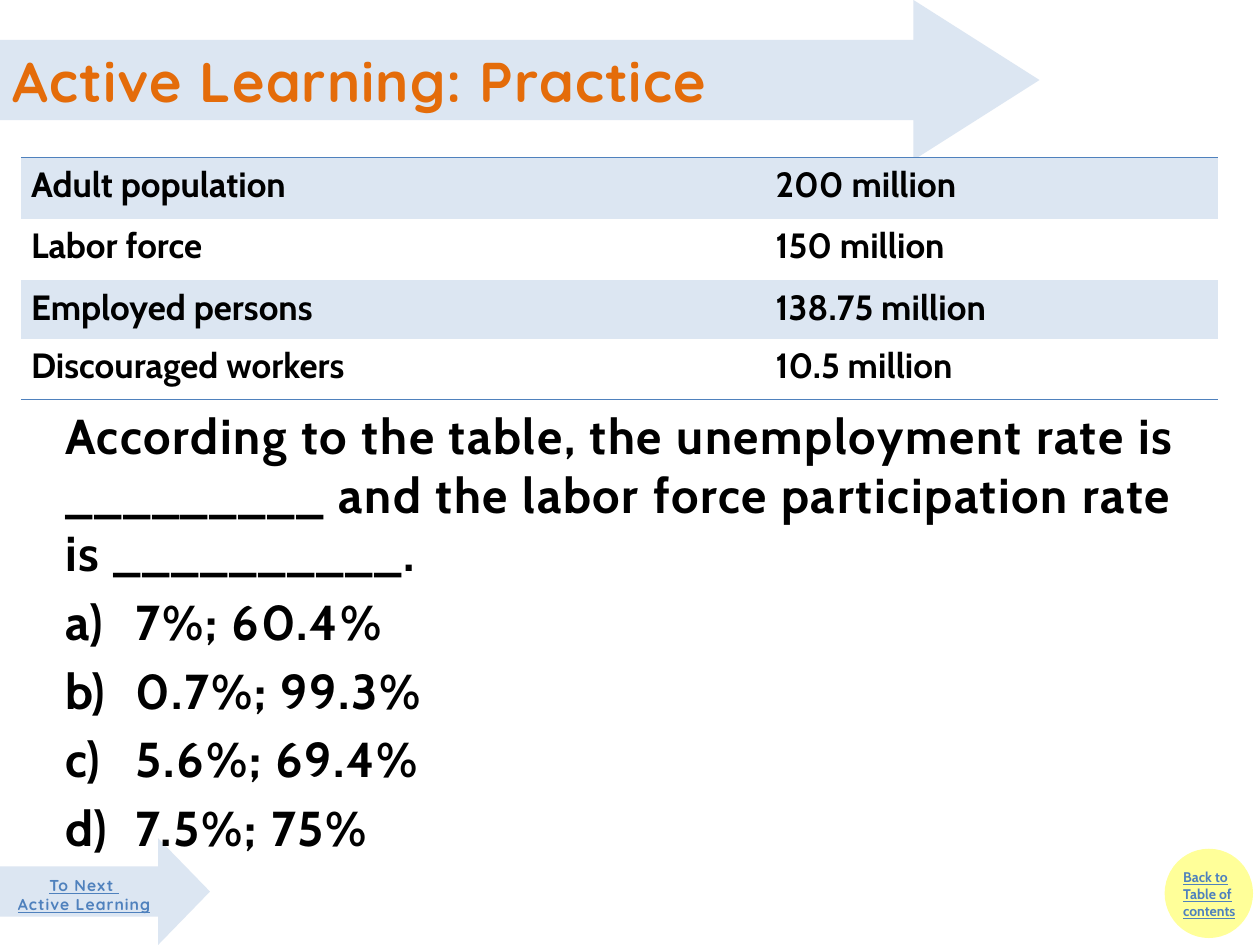
from lxml.etree import SubElement as Sub
from pptx import Presentation
from pptx.dml.color import RGBColor as Rgb
from pptx.enum.shapes import MSO_SHAPE as Kind
from pptx.enum.text import MSO_ANCHOR as Anchor, MSO_AUTO_SIZE as Fit, PP_ALIGN as Align
from pptx.oxml.ns import qn
from pptx.util import Pt

# Content
HEAD = "Active Learning: Practice"
ROWS = [
    ("Adult population", "200 million"),
    ("Labor force", "150 million"),
    ("Employed persons", "138.75 million"),
    ("Discouraged workers", "10.5 million"),
]
ASK = ("According to the table, the unemployment rate is _________ "
       "and the labor force participation rate is __________.")
PICKS = ["7%; 60.4%", "0.7%; 99.3%", "5.6%; 69.4%", "7.5%; 75%"]
BACK = ["Back to Table of contents"]
NEXT = ["To Next ", "Active Learning"]

# Look
HUES = {"pale": "DCE6F2", "head": "E46C0A", "link": "4F81BD",
        "sun": "FFFF99", "ink": "000000"}
HEAD_F = {"name": "Quicksand", "size": Pt(32), "bold": True}
CELL_F = {"name": "Cabin", "size": Pt(20), "bold": True}
BODY_F = {"name": "Cabin", "size": Pt(28), "bold": True}
BACK_F = {"name": "Cabin", "size": Pt(8), "bold": True, "underline": True}
NEXT_F = {"name": "Quicksand", "size": Pt(9), "bold": True, "underline": True}
COLS = (425.5, 258.5)
HIGHS = (35, 35, 33.5, 35)
NO_STYLE = "{2D5ABB26-0587-4C30-8999-92F81FD0307C}"


def hue(key):
    return Rgb.from_string(HUES[key])


def pts(*nums):
    return [Pt(n) for n in nums]


def write(para, text, look, key, gap=0):
    """Put one formatted run in a paragraph; gap is letter spacing in points."""
    run = para.add_run()
    run.text = text
    for name, val in look.items():
        setattr(run.font, name, val)
    run.font.color.rgb = hue(key)
    if gap:
        run._r.get_or_add_rPr().set("spc", str(int(gap * 100)))


def paint(kind, box, key, adj=()):
    shape = slide.shapes.add_shape(kind, *pts(*box))
    shape.shadow.inherit = False
    shape.fill.solid()
    shape.fill.fore_color.rgb = hue(key)
    shape.line.fill.background()
    for i, val in enumerate(adj):
        shape.adjustments[i] = val
    return shape


def label(box, lines, look, align, wrap, gap=0):
    frame = slide.shapes.add_textbox(*pts(*box)).text_frame
    frame.word_wrap = wrap
    for i, line in enumerate(lines):
        para = frame.add_paragraph() if i else frame.paragraphs[0]
        para.alignment = align
        write(para, line, look, "link", gap)


def place(holder, box):
    holder.left, holder.top, holder.width, holder.height = pts(*box)
    frame = holder.text_frame
    frame.auto_size = Fit.NONE
    frame.word_wrap = True
    return frame


def rule(cell, side):
    """Draw a thin line on one side of a cell, ahead of its fill."""
    props = cell._tc.get_or_add_tcPr()
    line = Sub(props, qn("a:" + side), w=str(Pt(1)))
    Sub(Sub(line, qn("a:solidFill")), qn("a:srgbClr"), val=HUES["link"])
    props.insert(0, line)


deck = Presentation()
deck.slide_width, deck.slide_height = pts(720, 540)
slide = deck.slides.add_slide(deck.slide_layouts[1])
title, body = slide.placeholders
tree = slide.shapes._spTree

# Arrows and disc, with the heading over the first arrow
paint(Kind.RIGHT_ARROW, (0, 0, 594, 91.5), "pale", (0.5, 0.787))
disc = paint(Kind.OVAL, (666.5, 486, 48.5, 49), "sun")
disc.line.color.rgb = hue("sun")
disc.line.width = Pt(2)
label((669, 493, 52, 48), BACK, BACK_F, Align.LEFT, True)
paint(Kind.RIGHT_ARROW, (0, 479, 120, 61), "pale", (0.472, 0.486))
tree.append(title._element)
frame = place(title, (0, 0, 594, 91.5))
frame.vertical_anchor = Anchor.MIDDLE
frame.paragraphs[0].alignment = Align.LEFT
write(frame.paragraphs[0], HEAD, HEAD_F, "head", 0.6)

# Table
grid = slide.shapes.add_table(
    len(ROWS), len(COLS), *pts(12, 90, sum(COLS), sum(HIGHS))).table
grid.first_row = grid.horz_banding = False
grid._tbl.tblPr[0].text = NO_STYLE
for col, wide in zip(grid.columns, COLS):
    col.width = Pt(wide)
for r, (texts, high) in enumerate(zip(ROWS, HIGHS)):
    grid.rows[r].height = Pt(high)
    for c, text in enumerate(texts):
        cell = grid.cell(r, c)
        cell.margin_left = cell.margin_right = Pt(5.75)
        cell.margin_top = cell.margin_bottom = 0
        if r % 2:
            cell.fill.background()
        else:
            cell.fill.solid()
            cell.fill.fore_color.rgb = hue("pale")
        if r == 0:
            rule(cell, "lnT")
        if r == len(ROWS) - 1:
            rule(cell, "lnB")
        para = cell.text_frame.paragraphs[0]
        para.line_spacing = 1.15
        write(para, text, CELL_F, "ink")

# Question and lettered answers
tree.append(body._element)
frame = place(body, (30, 228, 672, 252))
for i, text in enumerate([ASK] + PICKS):
    para = frame.add_paragraph() if i else frame.paragraphs[0]
    para.space_before = Pt(5.6 if i else 0)
    props = para._p.get_or_add_pPr()
    dent = Pt(40.5) if i else 0
    props.set("marL", str(dent))
    props.set("indent", str(-dent))
    if i:
        Sub(props, qn("a:buFont"), typeface="+mj-lt")
        Sub(props, qn("a:buAutoNum"), type="alphaLcParenR")
    else:
        Sub(props, qn("a:buNone"))
    write(para, text, BODY_F, "ink", 1)

# Label on the lower arrow
label((2, 497, 92, 29), NEXT, NEXT_F, Align.CENTER, False, 0.6)

deck.save("out.pptx")
